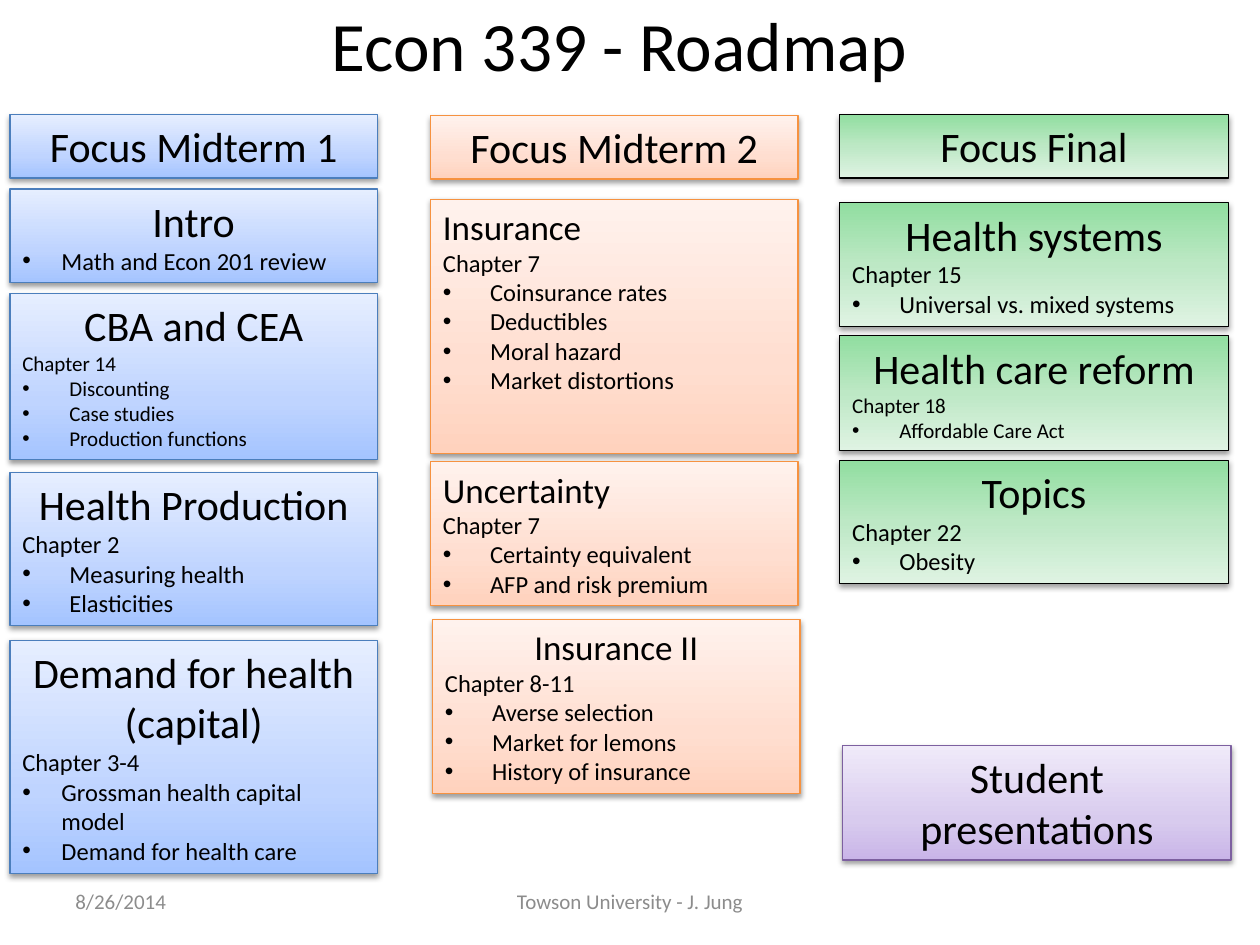
from lxml.etree import SubElement
from pptx import Presentation
from pptx.dml.color import RGBColor
from pptx.enum.shapes import MSO_SHAPE
from pptx.enum.text import MSO_ANCHOR as Anchor, MSO_AUTO_SIZE as AutoSize, PP_ALIGN as Align
from pptx.oxml import parse_xml
from pptx.oxml.ns import nsdecls, qn
from pptx.util import Cm, Pt

COLORS = {"text": "000000", "footer": "8C8C8C", "shadow": "000000"}
THEMES = {
    "blue": {"stops": ((0, "A4C4FF"), (35, "BFD4FF"), (100, "E6EEFF")), "angle": 270, "line": "4B7EBC"},
    "orange": {"stops": ((0, "FFD2BD"), (35, "FFDED0"), (100, "FFF2ED")), "angle": 270, "line": "F69240"},
    "green": {"stops": ((0, "91DEA0"), (50, "BDE8C5"), (100, "DFF3E3")), "angle": 90, "line": "000000"},
    "purple": {"stops": ((0, "C9B5E8"), (35, "D8CBEE"), (100, "F0EAF9")), "angle": 270, "line": "7D60A0"},
}
DEFAULTS = {"heading_size": 24, "align": Align.CENTER, "detail_size": 14, "indent": 0.95,
            "chapter": None, "bullets": ()}
LEFT_HEADING = {"heading_size": 20, "align": Align.LEFT}

TITLE = "Econ 339 - Roadmap"
FOOTERS = [
    ("8/26/2014", 1.27, 5.92, Align.LEFT),
    ("Towson University - J. Jung", 8.68, 8.04, Align.CENTER),
]
COLUMNS = [
    ("blue", 0.2, 7.41, [
        (2.31, 1.28, "Focus Midterm 1", {}),
        (3.81, 1.89, "Intro", {"indent": 0.79, "bullets": ["Math and Econ 201 review"]}),
        (5.92, 3.34, "CBA and CEA", {
            "chapter": "Chapter 14", "detail_size": 12,
            "bullets": ["Discounting", "Case studies", "Production functions"]}),
        (9.53, 3.08, "Health Production", {
            "chapter": "Chapter 2", "bullets": ["Measuring health", "Elasticities"]}),
        (12.91, 4.7, "Demand for health (capital)", {
            "chapter": "Chapter 3-4", "indent": 0.79,
            "bullets": ["Grossman health capital model", "Demand for health care"]}),
    ]),
    ("orange", 8.68, 7.41, [
        (2.33, 1.28, "Focus Midterm 2", {}),
        (4.02, 5.13, "Insurance", {
            **LEFT_HEADING, "chapter": "Chapter 7",
            "bullets": ["Coinsurance rates", "Deductibles", "Moral hazard", "Market distortions"]}),
        (9.31, 2.9, "Uncertainty", {
            **LEFT_HEADING, "chapter": "Chapter 7",
            "bullets": ["Certainty equivalent", "AFP and risk premium"]}),
    ]),
    ("orange", 8.72, 7.41, [
        (12.49, 3.51, "Insurance II", {
            "heading_size": 20, "chapter": "Chapter 8-11",
            "bullets": ["Averse selection", "Market for lemons", "History of insurance"]}),
    ]),
    ("green", 16.93, 7.83, [
        (2.31, 1.28, "Focus Final", {}),
        (4.09, 2.49, "Health systems", {
            "chapter": "Chapter 15", "bullets": ["Universal vs. mixed systems"]}),
        (6.77, 2.31, "Health care reform", {
            "chapter": "Chapter 18", "detail_size": 12, "bullets": ["Affordable Care Act"]}),
        (9.28, 2.49, "Topics", {"chapter": "Chapter 22", "bullets": ["Obesity"]}),
    ]),
    ("purple", 16.99, 7.83, [(15.03, 2.31, "Student presentations", {})]),
]


def set_format(target, values):
    for name, value in values.items():
        setattr(target, name, value)


def write_paragraph(paragraph, text, size, align, color="text", indent=None):
    paragraph.alignment = align
    if indent:
        properties = paragraph._p.get_or_add_pPr()
        properties.set("marL", str(Cm(indent)))
        properties.set("indent", str(-Cm(indent)))
        SubElement(properties, qn("a:buFont"), typeface="Arial")
        SubElement(properties, qn("a:buChar"), char="•")
    run = paragraph.add_run()
    run.text = text
    set_format(run.font, {"name": "Calibri", "size": Pt(size)})
    run.font.color.rgb = RGBColor.from_string(COLORS[color])


def style_box(shape, theme):
    shape.line.color.rgb = RGBColor.from_string(theme["line"])
    shape.line.width = Pt(0.75)
    shape.shadow.inherit = False
    stops = "".join(f'<a:gs pos="{position * 1000}"><a:srgbClr val="{color}"/></a:gs>'
                    for position, color in theme["stops"])
    properties = shape._element.spPr
    properties.find(qn("a:prstGeom")).addnext(parse_xml(
        f'<a:gradFill {nsdecls("a")} rotWithShape="1"><a:gsLst>{stops}</a:gsLst>'
        f'<a:lin ang="{theme["angle"] * 60000}" scaled="0"/></a:gradFill>'))
    properties.find(qn("a:effectLst")).append(parse_xml(
        f'<a:outerShdw {nsdecls("a")} blurRad="40000" dist="20000" dir="5400000" rotWithShape="0">'
        f'<a:srgbClr val="{COLORS["shadow"]}"><a:alpha val="38000"/></a:srgbClr></a:outerShdw>'))


def add_box(slide, theme, left, width, top, height, heading, options):
    options = {**DEFAULTS, **options}
    shape = slide.shapes.add_shape(MSO_SHAPE.RECTANGLE, Cm(left), Cm(top), Cm(width), Cm(height))
    style_box(shape, theme)
    frame = shape.text_frame
    set_format(frame, {"word_wrap": True, "auto_size": AutoSize.NONE, "vertical_anchor": Anchor.TOP})
    write_paragraph(frame.paragraphs[0], heading, options["heading_size"], options["align"])
    size = options["detail_size"]
    if options["chapter"]:
        write_paragraph(frame.add_paragraph(), options["chapter"], size, Align.LEFT)
    for bullet in options["bullets"]:
        write_paragraph(frame.add_paragraph(), bullet, size, Align.LEFT, indent=options["indent"])


def main():
    presentation = Presentation()
    set_format(presentation, {"slide_width": Cm(25.4), "slide_height": Cm(19.05)})
    slide = presentation.slides.add_slide(presentation.slide_layouts[5])
    middle = {"word_wrap": True, "auto_size": AutoSize.NONE, "vertical_anchor": Anchor.MIDDLE}

    title = slide.shapes.title
    set_format(title, {"left": Cm(1.06), "top": Cm(0.2), "width": Cm(22.86), "height": Cm(1.35)})
    set_format(title.text_frame, middle)
    write_paragraph(title.text_frame.paragraphs[0], TITLE, 39.6, Align.CENTER)

    for text, left, width, align in FOOTERS:
        frame = slide.shapes.add_textbox(Cm(left), Cm(17.65), Cm(width), Cm(1.02)).text_frame
        set_format(frame, middle)
        write_paragraph(frame.paragraphs[0], text, 12, align, "footer")

    for theme, left, width, boxes in COLUMNS:
        for box in boxes:
            add_box(slide, THEMES[theme], left, width, *box)

    presentation.save("out.pptx")


if __name__ == "__main__":
    main()
